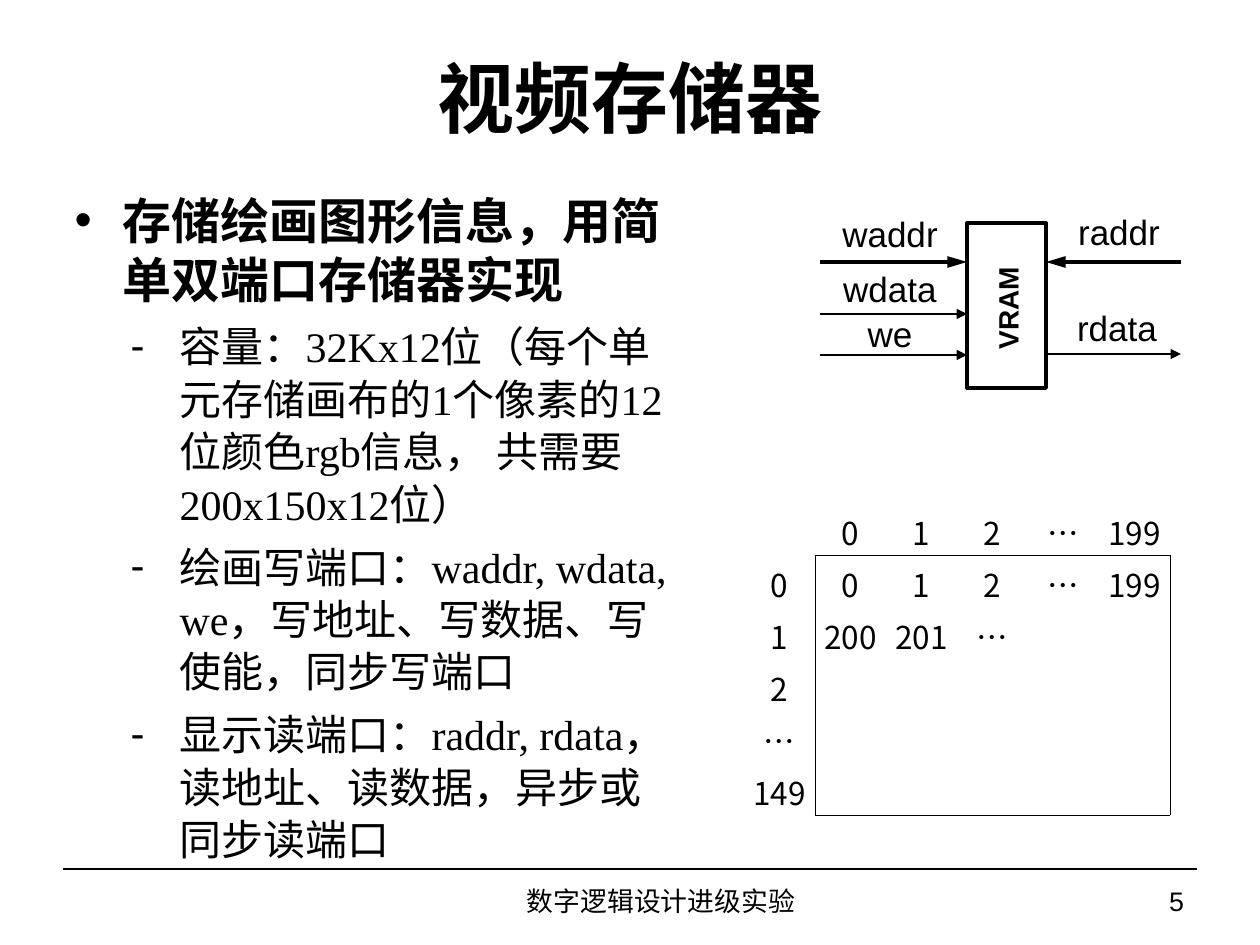
from dataclasses import dataclass

from lxml import etree
from pptx import Presentation
from pptx.dml.color import RGBColor
from pptx.enum.shapes import MSO_CONNECTOR, MSO_SHAPE
from pptx.enum.text import MSO_ANCHOR, MSO_AUTO_SIZE, PP_ALIGN
from pptx.oxml.ns import qn
from pptx.slide import Slide
from pptx.util import Emu, Pt

STRAIGHT = MSO_CONNECTOR.STRAIGHT
RECTANGLE = MSO_SHAPE.RECTANGLE
MIDDLE = MSO_ANCHOR.MIDDLE
CENTER, RIGHT = PP_ALIGN.CENTER, PP_ALIGN.RIGHT
NO_FIT = MSO_AUTO_SIZE.NONE
COLORS = {"ink": "000000", "paper": "FFFFFF"}
SERIF, SANS, CJK = "Times New Roman", "Arial", "Noto Sans CJK SC"
LAYOUT_TITLE_AND_CONTENT = 1


def px(value):
    return Emu(round(value * 914400 / 126))


@dataclass
class SlideBuilder:
    """Draws the elements of one slide in a shared black-on-white style."""

    page: Slide

    def place(self, shape, left, top, width, height):
        shape.left, shape.top = px(left), px(top)
        shape.width, shape.height = px(width), px(height)

    def style(self, font, size, name, bold=False):
        font.size, font.name, font.bold = Pt(size), name, bold
        font.color.rgb = RGBColor.from_string(COLORS["ink"])

    def title(self, text, *bounds):
        box = self.page.shapes.title
        self.place(box, *bounds)
        frame = box.text_frame
        frame.text = text
        frame.auto_size = NO_FIT
        frame.vertical_anchor = MIDDLE
        frame.paragraphs[0].alignment = CENTER
        self.style(frame.paragraphs[0].runs[0].font, 44, SERIF, True)

    def bullets(self, items, *bounds):
        box = self.page.placeholders[1]
        self.place(box, *bounds)
        frame = box.text_frame
        frame.text = "\n".join(text for _, text in items)
        frame.auto_size = NO_FIT
        for para, (level, _) in zip(frame.paragraphs, items):
            para.level = level
            margin, hanging, mark, size = ((48, 48, "•", 28), (105, 49, "-", 24))[level]
            properties = para._p.get_or_add_pPr()
            properties.set("marL", str(px(margin)))
            properties.set("indent", str(-px(hanging)))
            etree.SubElement(properties, qn("a:buChar")).set("char", mark)
            para.space_before, para.space_after = Pt(0), Pt(6)
            if level:
                para.line_spacing = Pt(30)
            self.style(para.runs[0].font, size, SERIF, level == 0)

    def label(self, text, *bounds, size=20, bold=False, align=CENTER, rotation=0):
        box = self.page.shapes.add_textbox(*map(px, bounds))
        box.rotation = rotation
        frame = box.text_frame
        frame.word_wrap = False
        frame.vertical_anchor = MIDDLE
        frame.margin_left = frame.margin_right = 0
        frame.margin_top = frame.margin_bottom = 0
        frame.text = text
        para = frame.paragraphs[0]
        para.alignment = align
        self.style(para.runs[0].font, size, SANS, bold)

    def block(self, *bounds):
        shape = self.page.shapes.add_shape(RECTANGLE, *map(px, bounds))
        shape.shadow.inherit = False
        shape.fill.background()
        shape.line.color.rgb = RGBColor.from_string(COLORS["ink"])
        shape.line.width = Pt(2.25)

    def line(self, start, end, y, weight, arrow=None):
        connector = self.page.shapes.add_connector(
            STRAIGHT, px(start), px(y), px(end), px(y))
        connector.line.color.rgb = RGBColor.from_string(COLORS["ink"])
        connector.line.width = Pt(weight)
        etree.SubElement(connector._element.spPr, qn("a:effectLst"))
        if arrow:
            head = etree.SubElement(connector.line._get_or_add_ln(), qn("a:tailEnd"))
            head.set("type", "triangle")
            head.set("len", arrow)

    def border(self, cell, sides):
        properties = cell._tc.get_or_add_tcPr()
        for side in ("L", "R", "T", "B"):
            edge = etree.SubElement(properties, qn(f"a:ln{side}"))
            if side not in sides:
                etree.SubElement(edge, qn("a:noFill"))
                continue
            edge.set("w", str(Pt(0.45)))
            fill = etree.SubElement(edge, qn("a:solidFill"))
            etree.SubElement(fill, qn("a:srgbClr")).set("val", COLORS["ink"])

    def memory_map(self, rows, left, top, column, row_height):
        last_row, last_column = len(rows) - 1, len(rows[0]) - 1
        table = self.page.shapes.add_table(
            len(rows), len(rows[0]), px(left), px(top),
            px(column * len(rows[0])), px(row_height * len(rows))).table
        table.first_row = table.horz_banding = False
        for r, row in enumerate(rows):
            for c, text in enumerate(row):
                cell = table.cell(r, c)
                cell.margin_left = cell.margin_right = px(1)
                cell.margin_top, cell.margin_bottom = px(6), 0
                cell.vertical_anchor = MIDDLE
                edges = {"L": r and c == 1, "R": r and c in (0, last_column),
                         "T": c and r == 1, "B": c and r in (0, last_row)}
                self.border(cell, [side for side, drawn in edges.items() if drawn])
                if r and c:
                    cell.fill.solid()
                    cell.fill.fore_color.rgb = RGBColor.from_string(COLORS["paper"])
                else:
                    cell.fill.background()
                cell.text = text
                para = cell.text_frame.paragraphs[0]
                para.alignment = CENTER
                self.style(para.font, 18, CJK)
                for span in para.runs:
                    self.style(span.font, 18, CJK)


def main():
    deck = Presentation()
    deck.slide_width, deck.slide_height = px(1260), px(945)
    page = deck.slides.add_slide(deck.slide_layouts[LAYOUT_TITLE_AND_CONTENT])
    builder = SlideBuilder(page)

    builder.line(63, 1197, 869, 0.75)
    builder.title("视频存储器", 63, 38, 1134, 117)
    builder.bullets([
        (0, "存储绘画图形信息，用简单双端口存储器实现"),
        (1, "容量：32Kx12位（每个单元存储画布的1个像素的12位颜色rgb信息， 共需要200x150x12位）"),
        (1, "绘画写端口：waddr, wdata, we，写地址、写数据、写使能，同步写端口"),
        (1, "显示读端口：raddr, rdata，读地址、读数据，异步或同步读端口"),
    ], 62, 184, 622, 674)
    builder.label("5", 977, 877, 207, 47, size=15.3, align=RIGHT)
    builder.label("数字逻辑设计进级实验", 357, 877, 608, 47, size=15.3)

    builder.block(967, 223, 79, 165)
    for name, center, top in (
            ("waddr", 890, 212), ("wdata", 890, 267), ("we", 890, 312),
            ("raddr", 1119, 211), ("rdata", 1117, 306)):
        builder.label(name, center - 60, top, 120, 42)
    for start, end, y, weight, arrow in (
            (820, 967, 262, 2.25, "lg"), (820, 967, 314, 1.5, "med"),
            (820, 967, 355, 1.5, "med"), (1181, 1046, 262, 2.25, "lg"),
            (1046, 1181, 354, 1.5, "med")):
        builder.line(start, end, y, weight, arrow)
    builder.label("VRAM", 954, 285, 107, 47, size=16, bold=True, rotation=270)

    builder.memory_map([
        ("", "0", "1", "2", "…", "199"),
        ("0", "0", "1", "2", "…", "199"),
        ("1", "200", "201", "…", "", ""),
        ("2", "", "", "", "", ""),
        ("…", "", "", "", "", ""),
        ("149", "", "", "", "", ""),
    ], 744, 503, 71, 52)
    deck.save("out.pptx")


if __name__ == "__main__":
    main()
